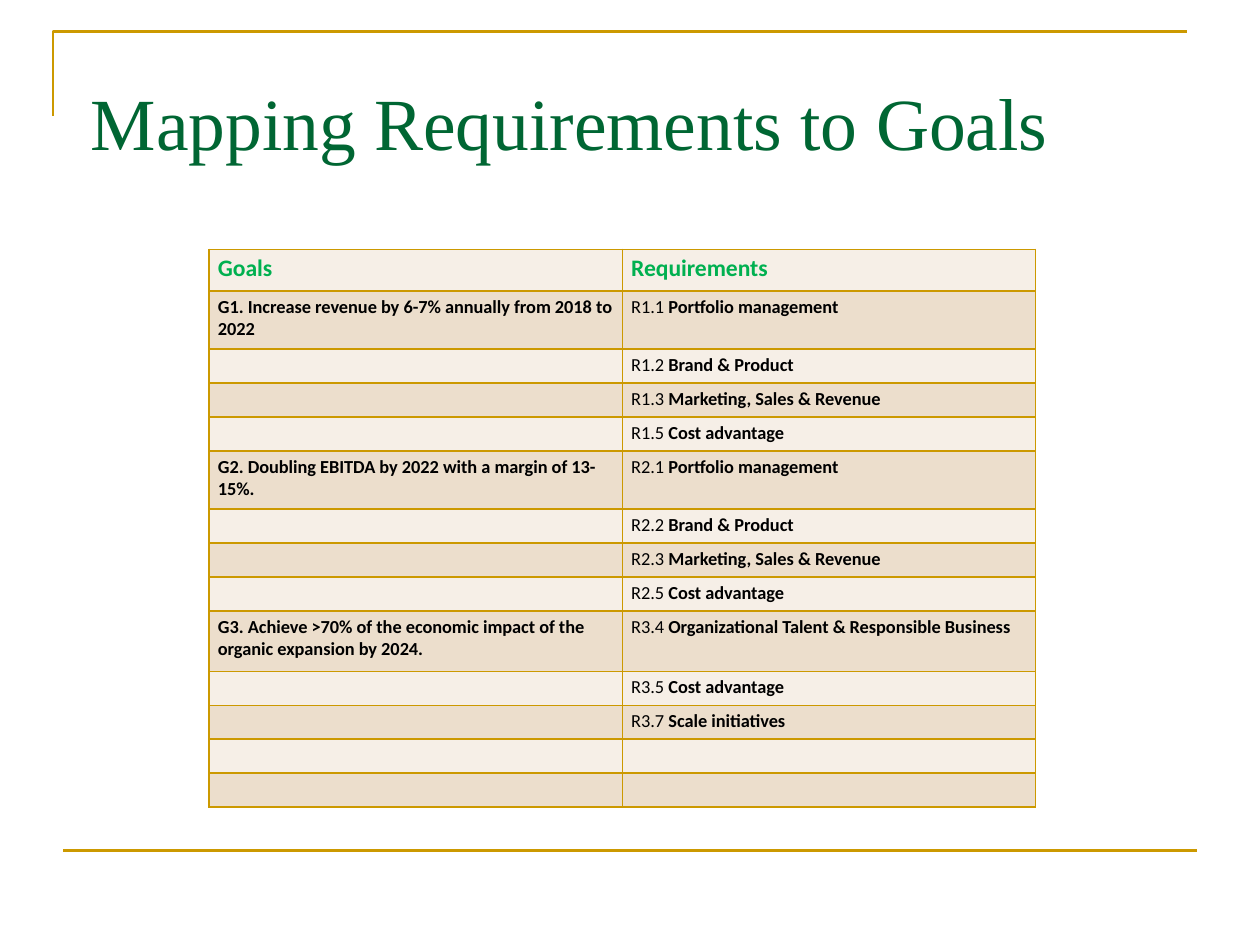
from lxml import etree
from pptx import Presentation
from pptx.dml.color import RGBColor
from pptx.enum.shapes import MSO_CONNECTOR
from pptx.enum.text import MSO_ANCHOR, PP_ALIGN
from pptx.oxml.ns import qn
from pptx.util import Inches, Pt

GOLD = RGBColor(0xCC, 0x99, 0x00)
GREEN = RGBColor(0x00, 0x66, 0x33)
LIME = RGBColor(0x00, 0xB0, 0x50)
BLACK = RGBColor(0, 0, 0)
PALE = RGBColor(0xF6, 0xEF, 0xE7)
TAN = RGBColor(0xEC, 0xDE, 0xCC)
STRAIGHT = MSO_CONNECTOR.STRAIGHT
TOP = MSO_ANCHOR.TOP
LEFT = PP_ALIGN.LEFT

ROWS = [
    ("Goals", "", "Requirements"),
    ("G1. Increase revenue by 6-7% annually from 2018 to 2022", "R1.1 ", "Portfolio management"),
    ("", "R1.2 ", "Brand & Product"),
    ("", "R1.3 ", "Marketing, Sales & Revenue"),
    ("", "R1.5 ", "Cost advantage"),
    ("G2. Doubling EBITDA by 2022 with a margin of 13-15%.", "R2.1 ", "Portfolio management"),
    ("", "R2.2 ", "Brand & Product"),
    ("", "R2.3 ", "Marketing, Sales & Revenue"),
    ("", "R2.5 ", "Cost advantage"),
    ("G3. Achieve >70% of the economic impact of the organic expansion by 2024.", "R3.4 ",
     "Organizational Talent & Responsible Business"),
    ("", "R3.5 ", "Cost advantage"),
    ("", "R3.7 ", "Scale initiatives"),
    ("", "", ""),
    ("", "", ""),
]
TALL = {0: 0.33, 1: 0.46, 5: 0.46, 9: 0.48}


def add_border(cell):
    props = cell._tc.get_or_add_tcPr()
    for pos, side in enumerate(("a:lnL", "a:lnR", "a:lnT", "a:lnB")):
        line = etree.Element(qn(side), w=str(Pt(1)))
        fill = etree.SubElement(line, qn("a:solidFill"))
        etree.SubElement(fill, qn("a:srgbClr"), val=str(GOLD))
        props.insert(pos, line)


def fill_cell(cell, parts, size, color):
    para = cell.text_frame.paragraphs[0]
    for text, bold in parts:
        if text:
            run = para.add_run()
            run.text = text
            run.font.name = "Calibri"
            run.font.size = Pt(size)
            run.font.bold = bold
            run.font.color.rgb = color
    if not para.runs:
        etree.SubElement(para._p, qn("a:endParaRPr"), sz=str(int(size * 100)))


prs = Presentation()
prs.slide_width, prs.slide_height = Inches(10), Inches(7.5)
slide = prs.slides.add_slide(prs.slide_layouts[5])
shapes = slide.shapes

pen = shapes.build_freeform(Inches(0.42), Inches(0.92), scale=1.0)
pen.add_line_segments([(Inches(0.42), Inches(0.25)), (Inches(9.42), Inches(0.25))], close=False)
frame = pen.convert_to_shape()
frame.shadow.inherit = False
frame.fill.background()

rule = shapes.add_connector(STRAIGHT, Inches(0.5), Inches(6.75), Inches(9.5), Inches(6.75))
etree.SubElement(rule._element.spPr, qn("a:effectLst"))
for item in (frame, rule):
    item.line.color.rgb = GOLD
    item.line.width = Pt(1.5)

title = shapes.title
title.left, title.top = Inches(0.62), Inches(0.48)
title.width, title.height = Inches(8.62), Inches(0.61)
box = title.text_frame
box.text = "Mapping Requirements to Goals"
box.vertical_anchor = TOP
box.margin_top = Inches(0.13)
para = box.paragraphs[0]
para.alignment = LEFT
para.font.name = "Times New Roman"
para.font.size = Pt(42)
para.font.color.rgb = GREEN

table = shapes.add_table(len(ROWS), 2, Inches(1.66), Inches(1.98),
                         Inches(6.56), Inches(4.45)).table
for i, (goal, code, need) in enumerate(ROWS):
    table.rows[i].height = Inches(TALL.get(i, 0.27))
    size, color = (10.5, BLACK) if i else (13.5, LIME)
    for j, parts in enumerate(([(goal, True)], [(code, False), (need, True)])):
        cell = table.cell(i, j)
        cell.margin_left = cell.margin_right = Inches(0.07)
        cell.margin_top = cell.margin_bottom = Inches(0.04)
        cell.fill.solid()
        cell.fill.fore_color.rgb = TAN if i % 2 else PALE
        add_border(cell)
        fill_cell(cell, parts, size, color)

prs.save("out.pptx")
